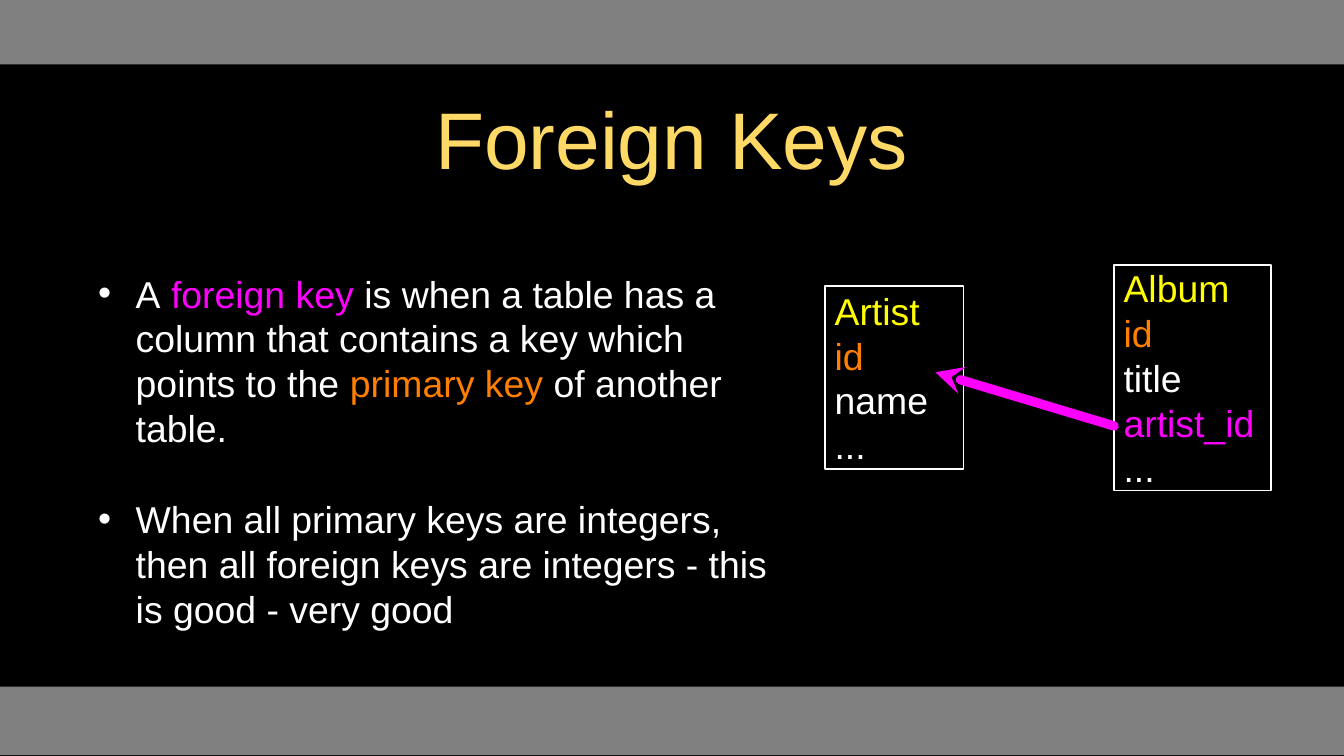
from lxml import etree
from pptx import Presentation
from pptx.dml.color import RGBColor
from pptx.enum import shapes, text
from pptx.oxml import ns
from pptx.util import Inches, Pt

BLACK = RGBColor(0x00, 0x00, 0x00)
GRAY = RGBColor(0x80, 0x80, 0x80)
WHITE = RGBColor(0xFF, 0xFF, 0xFF)
GOLD = RGBColor(0xFF, 0xD9, 0x66)
YELLOW = RGBColor(0xFF, 0xFF, 0x00)
ORANGE = RGBColor(0xFF, 0x7F, 0x00)
MAGENTA = RGBColor(0xFF, 0x00, 0xFF)

# Content: each paragraph is a list of (words, colour)
TITLE = [[("Foreign Keys", GOLD)]]
BULLETS = [
    [("A", WHITE), (" foreign key", MAGENTA),
     (" is when a table has a column that contains a key which points to the ", WHITE),
     ("primary key", ORANGE), (" of another table.", WHITE)],
    [("When all primary keys are integers, then all foreign keys are integers"
      " - this is good - very good", WHITE)],
]
TABLES = [
    ((6.14, 2.13, 1.03, 1.36),
     [("Artist", YELLOW), ("id", ORANGE), ("name", WHITE), ("...", WHITE)]),
    ((8.29, 1.97, 1.17, 1.68),
     [("Album", YELLOW), ("id", ORANGE), ("title", WHITE),
      ("artist_id", MAGENTA), ("...", WHITE)]),
]
WIDTH = 10
HEIGHT = WIDTH * 9 / 16
BAR_TOPS = [5.11, -0.03]


def place(box, area):
    box.left, box.top, box.width, box.height = map(Inches, area)


def add_rectangle(page, area):
    box = page.shapes.add_shape(shapes.MSO_SHAPE.RECTANGLE, *map(Inches, area))
    box.shadow.inherit = False
    return box


def add_bullet(para):
    props = para._p.get_or_add_pPr()
    props.set("marL", str(Inches(0.28)))
    props.set("indent", str(-Inches(0.28)))
    colour = etree.SubElement(props, ns.qn("a:buClr"))
    etree.SubElement(colour, ns.qn("a:srgbClr"), val=str(WHITE))
    etree.SubElement(props, ns.qn("a:buFont"), typeface="Arial")
    etree.SubElement(props, ns.qn("a:buChar"), char="•")


def write(box, paragraphs, size, align, insets, bullets=False, gap=0):
    frame = box.text_frame
    frame.word_wrap = True
    frame.auto_size = text.MSO_AUTO_SIZE.NONE
    frame.vertical_anchor = text.MSO_ANCHOR.MIDDLE
    (frame.margin_left, frame.margin_top,
     frame.margin_right, frame.margin_bottom) = map(Inches, insets)
    for index, spans in enumerate(paragraphs):
        para = frame.add_paragraph() if index else frame.paragraphs[0]
        para.alignment = align
        para.line_spacing = 1.0
        para.space_before = Pt(gap if index else 0)
        para.space_after = Pt(0)
        if bullets:
            add_bullet(para)
        for words, colour in spans:
            span = para.add_run()
            span.text = words
            span.font.name = "Arial"
            span.font.size = Pt(size)
            span.font.color.rgb = colour


deck = Presentation()
deck.slide_width, deck.slide_height = Inches(WIDTH), Inches(HEIGHT)
page = deck.slides.add_slide(deck.slide_layouts[1])
page.background.fill.solid()
page.background.fill.fore_color.rgb = BLACK

# Gray bars at the bottom and top
for top in BAR_TOPS:
    bar = add_rectangle(page, (0, top, WIDTH, 0.51))
    bar.fill.solid()
    bar.fill.fore_color.rgb = GRAY
    bar.line.fill.background()

# Title and bullets
title, body = page.placeholders
place(title, (0.71, 0.48, 8.57, 1.08))
write(title, TITLE, 43, text.PP_ALIGN.CENTER, [0.02] * 4)
place(body, (0.71, 1.6, 5.18, 3.51))
write(body, BULLETS, 20, text.PP_ALIGN.LEFT, [0.02] * 4, bullets=True, gap=25)

# Database tables
for area, fields in TABLES:
    table = add_rectangle(page, area)
    table.fill.background()
    table.line.color.rgb = WHITE
    table.line.width = Pt(1)
    write(table, [[field] for field in fields], 20, text.PP_ALIGN.LEFT, (0.07, 0, 0, 0))

# Arrow from the foreign key to the primary key
arrow = page.shapes.add_connector(
    shapes.MSO_CONNECTOR.STRAIGHT, *map(Inches, (8.29, 3.17, 6.96, 2.77)))
arrow.line.color.rgb = MAGENTA
arrow.line.width = Pt(5)
outline = arrow._element.spPr.find(ns.qn("a:ln"))
outline.set("cap", "rnd")
etree.SubElement(outline, ns.qn("a:tailEnd"), type="stealth")
etree.SubElement(arrow._element.spPr, ns.qn("a:effectLst"))

deck.save("out.pptx")
